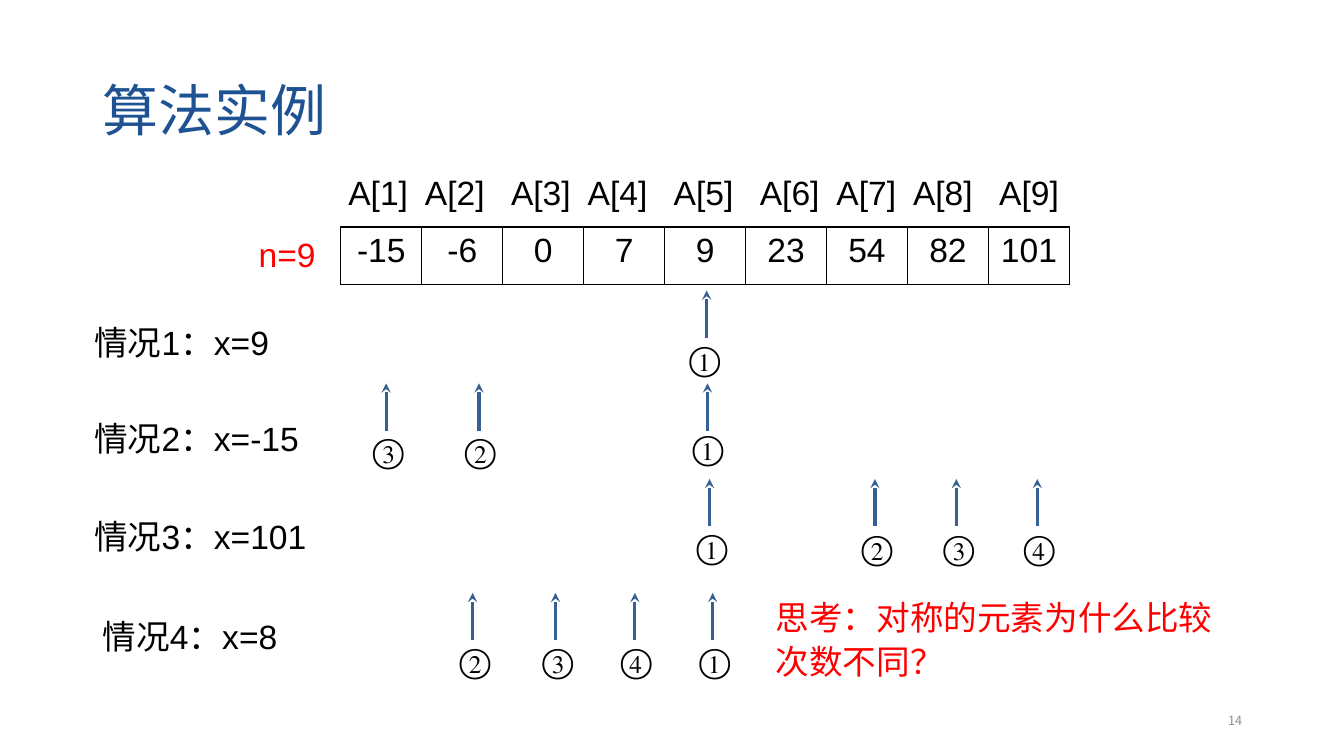
from itertools import accumulate

from lxml.etree import SubElement
from pptx import Presentation
from pptx.dml.color import RGBColor
from pptx.enum.shapes import MSO_CONNECTOR as Connector
from pptx.enum.text import MSO_ANCHOR as Anchor, PP_ALIGN as Align
from pptx.oxml.ns import qn
from pptx.util import Cm, Pt

# Content, with positions in cm
TITLE = "算法实例"
VALUES = [-15, -6, 0, 7, 9, 23, 54, 82, 101]
NARROW, WIDE = 1.93, 2.17
INDEX_STEPS = [NARROW, WIDE, NARROW, WIDE, WIDE, NARROW, NARROW, WIDE]
QUESTION = "思考：对称的元素为什么比较次数不同？"
PAGE = "14"

# x, label left, label top, label width, arrow tip,
# then the steps as (mark, arrow x, mark left, mark top)
CASES = [
    ("x=9", 2.13, 8.1, 6, 7.32, [("①", 17.81, 17.12, 8.38)]),
    ("x=-15", 2.13, 10.52, 8, 9.66, [
        ("③", 9.73, 9.14, 10.72), ("②", 12.07, 11.46, 10.72),
        ("①", 17.83, 17.2, 10.64)]),
    ("x=101", 2.13, 13, 8, 12.07, [
        ("①", 17.88, 17.3, 13.14), ("②", 22.05, 21.46, 13.16),
        ("③", 24.1, 23.52, 13.16), ("④", 26.14, 25.55, 13.16)]),
    ("x=8", 2.34, 15.52, 5.41, 14.94, [
        ("②", 11.91, 11.33, 16), ("③", 14, 13.41, 16),
        ("④", 16, 15.39, 16), ("①", 17.96, 17.37, 16)]),
]
ARROW_LENGTH = 1.19
COLUMN_WIDTH = 2.04
ARIAL, HEI, TIMES = "Arial", "Noto Sans CJK SC", "Times New Roman"
BLACK, RED, BLUE, NAVY, GREY = "000000", "FF0000", "376092", "1E5293", "8C8C8C"


def color(hex_code):
    return RGBColor.from_string(hex_code)


def add_run(paragraph, text, font=ARIAL, east_asian=HEI, size=24, ink=BLACK):
    run = paragraph.add_run()
    run.text = text
    run.font.name = font
    run.font.size = Pt(size)
    run.font.color.rgb = color(ink)
    SubElement(run.font._element, qn("a:ea"), typeface=east_asian)


def add_box(shapes, left, top, width, height, spacing=0.9, hanging=False):
    frame = shapes.add_textbox(Cm(left), Cm(top), Cm(width), Cm(height)).text_frame
    frame.word_wrap = True
    paragraph = frame.paragraphs[0]
    paragraph.line_spacing = spacing
    if hanging:
        properties = paragraph._p.get_or_add_pPr()
        properties.set("marL", str(Cm(1.27)))
        properties.set("indent", str(-Cm(1.27)))
    return paragraph


def add_step(shapes, mark, x, tip, mark_left, mark_top):
    step = shapes.add_group_shape().shapes
    arrow = step.add_connector(Connector.STRAIGHT, Cm(x), Cm(tip + ARROW_LENGTH),
                               Cm(x), Cm(tip))
    arrow.line.color.rgb = color(BLUE)
    arrow.line.width = Pt(2.25)
    SubElement(arrow.line._get_or_add_ln(), qn("a:tailEnd"), type="stealth")
    SubElement(arrow._element.spPr, qn("a:effectLst"))
    label = add_box(step, mark_left, mark_top, 1.12, 1.28, spacing=1.0)
    add_run(label, mark, TIMES, TIMES)


def add_borders(cell):
    properties = cell._tc.get_or_add_tcPr()
    for position, side in enumerate(("lnL", "lnR", "lnT", "lnB")):
        border = properties.makeelement(qn(f"a:{side}"), {"w": str(Pt(1))})
        properties.insert(position, border)
        fill = SubElement(border, qn("a:solidFill"))
        SubElement(fill, qn("a:srgbClr"), val=BLACK)


def main():
    deck = Presentation()
    deck.slide_width, deck.slide_height = Cm(33.87), Cm(19.05)
    slide = deck.slides.add_slide(deck.slide_layouts[5])
    shapes = slide.shapes

    # Title
    title = shapes.title
    title.left, title.top, title.width, title.height = Cm(2.34), Cm(1.02), Cm(29.21), Cm(3.68)
    title.text_frame.vertical_anchor = Anchor.MIDDLE
    heading = title.text_frame.paragraphs[0]
    heading.alignment = Align.LEFT
    heading.line_spacing = 0.9
    add_run(heading, TITLE, size=40, ink=NAVY)

    # Array values
    table = shapes.add_table(1, len(VALUES), Cm(8.59), Cm(5.72),
                             Cm(COLUMN_WIDTH * len(VALUES)), Cm(1.45)).table
    table.first_row = table.horz_banding = False
    for column, value in enumerate(VALUES):
        table.columns[column].width = Cm(COLUMN_WIDTH)
        cell = table.cell(0, column)
        cell.fill.background()
        add_borders(cell)
        number = cell.text_frame.paragraphs[0]
        number.alignment = Align.CENTER
        add_run(number, str(value))

    # Array indices, set on tab stops
    indices = add_box(shapes, 8.53, 4.32, 19, 1.19)
    tabs = SubElement(indices._p.get_or_add_pPr(), qn("a:tabLst"))
    for stop in accumulate(INDEX_STEPS):
        SubElement(tabs, qn("a:tab"), pos=str(Cm(stop)), algn="l")
    add_run(indices, "\t".join(f"A[{i}]" for i in range(1, len(VALUES) + 1)))

    size_label = add_box(shapes, 6.27, 5.89, 2.26, 1.22, hanging=True)
    add_run(size_label, f"n={len(VALUES)}", ink=RED)

    # Search cases with their numbered comparisons
    for case, (target, left, top, width, tip, steps) in enumerate(CASES, 1):
        label = add_box(shapes, left, top, width, 1.22, hanging=True)
        for text, font in (("情况", HEI), (str(case), ARIAL), ("：", HEI), (target, ARIAL)):
            add_run(label, text, font)
        for mark, x, mark_left, mark_top in steps:
            add_step(shapes, mark, x, tip, mark_left, mark_top)

    # Question and page number
    question = add_box(shapes, 19.3, 14.81, 11.84, 3.35, spacing=1.1)
    add_run(question, QUESTION, ink=RED)
    page = add_box(shapes, 23.93, 17.65, 7.62, 1.02, spacing=1.0)
    page.alignment = Align.RIGHT
    add_run(page, PAGE, HEI, size=9, ink=GREY)
    shapes[-1].text_frame.vertical_anchor = Anchor.MIDDLE

    deck.save("out.pptx")


if __name__ == "__main__":
    main()
